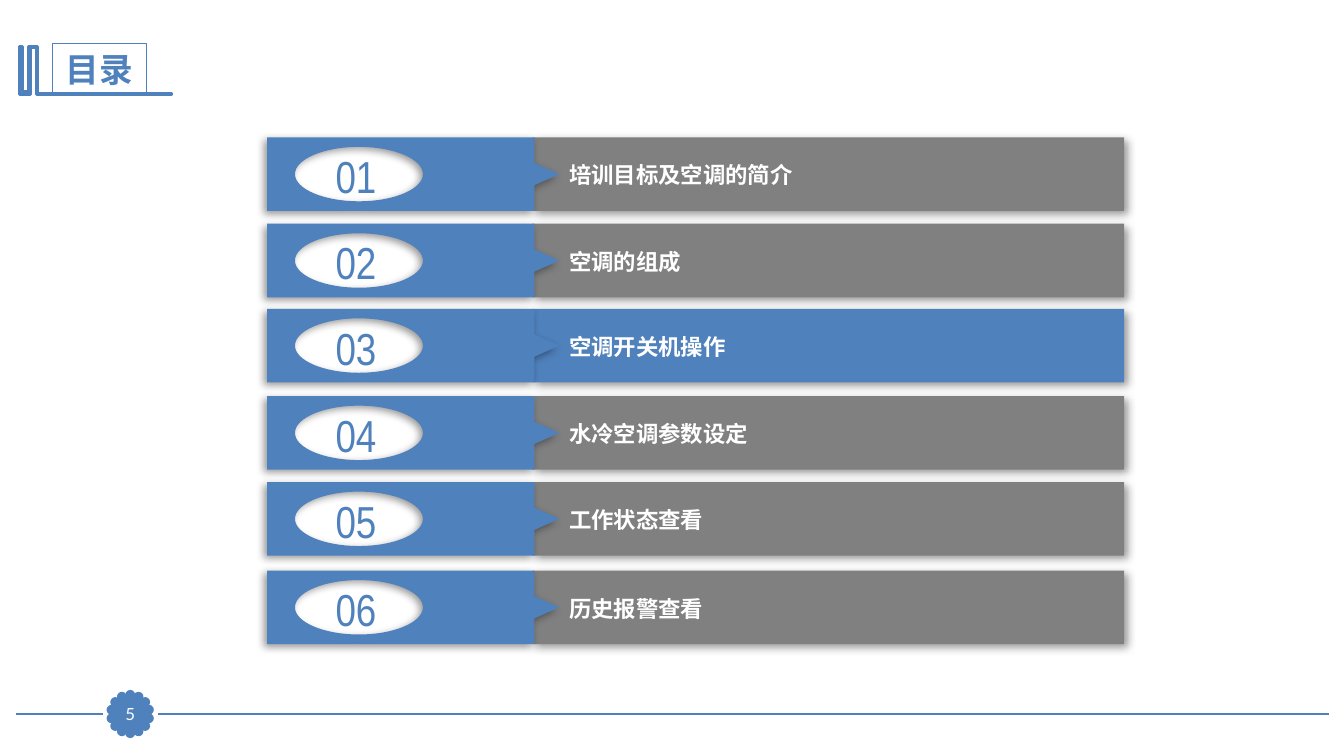
import dataclasses
import math

import lxml.etree
import pptx
import pptx.dml.color
import pptx.enum.shapes
import pptx.enum.text
import pptx.oxml.ns
import pptx.util

SHAPE = pptx.enum.shapes.MSO_SHAPE
ALIGN = pptx.enum.text.PP_ALIGN
MIDDLE = pptx.enum.text.MSO_ANCHOR.MIDDLE
TOP = pptx.enum.text.MSO_ANCHOR.TOP
qn = pptx.oxml.ns.qn

WIDTH = pptx.util.Inches(13.33)
HEIGHT = pptx.util.Inches(7.5)


@dataclasses.dataclass(frozen=True)
class Theme:
    blue: str = "4F81BD"
    gray: str = "808080"
    cyan: str = "28A9D6"
    white: str = "FFFFFF"
    shadow: str = "000000"
    display_font: str = "Arial Narrow"
    text_font: str = "Lato"
    title_size: int = 24
    number_size: int = 32
    label_size: int = 16
    page_size: int = 12


THEME = Theme()

# Top of each row as a percentage of the slide's height, and its label
AGENDA = [
    (18.17, "培训目标及空调的简介"),
    (29.6, "空调的组成"),
    (40.85, "空调开关机操作"),
    (52.4, "水冷空调参数设定"),
    (63.77, "工作状态查看"),
    (75.47, "历史报警查看"),
]
CURRENT = 3

# Percentages of the slide's width and height
ROW_H = 9.73
TAB_LEFT, TAB_RIGHT, TAB_TIP = 19.88, 39.76, 41.61
HOLE_X, HOLE_RX, HOLE_RY = 26.71, 4.76, 3.6
BADGE_X, BADGE_Y, BADGE_RADIUS, BADGE_DOTS = 9.69, 94.45, 2.53, 14
BEZIER_ARC = 0.55  # handle length of a quarter circle of radius 1


def x(percent):
    return round(WIDTH * percent / 100)


def y(percent):
    return round(HEIGHT * percent / 100)


def box(left, top, width, height):
    return x(left), y(top), x(width), y(height)


def color(hex_code):
    return pptx.dml.color.RGBColor.from_string(hex_code)


def style(shape, fill, line=None, weight=0.75):
    shape.shadow.inherit = False
    shape.fill.solid()
    shape.fill.fore_color.rgb = color(fill)
    if line:
        shape.line.color.rgb = color(line)
        shape.line.width = pptx.util.Pt(weight)
    else:
        shape.line.fill.background()


def cast_shadow(shape, degrees):
    effects = shape.element.spPr.find(qn("a:effectLst"))
    outer = lxml.etree.SubElement(
        effects, qn("a:outerShdw"), blurRad="76200", dist="38100",
        dir=str(degrees * 60000), algn="ctr", rotWithShape="0")
    rgb = lxml.etree.SubElement(outer, qn("a:srgbClr"), val=THEME.shadow)
    lxml.etree.SubElement(rgb, qn("a:alpha"), val="40000")


def write(shape, text, font, size, hex_code, align=ALIGN.CENTER, bold=False,
          anchor=MIDDLE):
    tf = shape.text_frame
    tf.word_wrap = True
    tf.auto_size = pptx.enum.text.MSO_AUTO_SIZE.NONE
    tf.vertical_anchor = anchor
    p = tf.paragraphs[0]
    p.text = text
    p.alignment = align
    p.font.name = font
    p.font.size = pptx.util.Pt(size)
    p.font.bold = bold
    p.font.color.rgb = color(hex_code)


def add_outline(s, points):
    points = [(x(px), y(py)) for px, py in points]
    builder = s.shapes.build_freeform(*points[0], scale=1.0)
    builder.add_line_segments(points[1:], close=True)
    return builder.convert_to_shape()


def cut_ellipse(shape, cx, cy, rx, ry):
    """Add an elliptical hole of four curves to a freeform's outline."""
    outline = next(shape.element.iter(qn("a:path")))

    def draw(command, points):
        step = lxml.etree.SubElement(outline, qn(f"a:{command}"))
        for px, py in points:
            lxml.etree.SubElement(
                step, qn("a:pt"), x=str(x(cx + px * rx) - shape.left),
                y=str(y(cy + py * ry) - shape.top))

    draw("moveTo", [(0, -1)])
    px, py = 0, -1
    for _ in range(4):
        nx, ny = py, -px
        draw("cubicBezTo", [(px + BEZIER_ARC * nx, py + BEZIER_ARC * ny),
                            (nx + BEZIER_ARC * px, ny + BEZIER_ARC * py),
                            (nx, ny)])
        px, py = nx, ny
    draw("close", [])


def add_rule(s, start, end, height):
    rule = s.shapes.add_connector(
        pptx.enum.shapes.MSO_CONNECTOR.STRAIGHT,
        x(start), y(height), x(end), y(height))
    rule.line.color.rgb = color(THEME.blue)
    rule.line.width = pptx.util.Pt(1.25)
    lxml.etree.SubElement(rule.element.spPr, qn("a:effectLst"))


def add_heading(s, text):
    bookmark = add_outline(s, [
        (2.76, 6.13), (2.82, 6.13), (2.82, 12.32), (12.8, 12.32),
        (12.8, 12.53), (2.7, 12.53), (2.7, 6.35), (2.3, 6.35),
        (2.3, 12.53), (1.43, 12.53), (1.43, 6.13), (1.7, 6.13),
        (1.7, 12.13), (2.1, 12.13), (2.1, 6.13)])
    style(bookmark, THEME.cyan, THEME.blue, 2)
    title = s.shapes.title
    title.left, title.top, title.width, title.height = box(3.9, 5.73, 6.98, 6.8)
    title.line.color.rgb = color(THEME.blue)
    title.line.width = pptx.util.Pt(0.75)
    write(title, text, THEME.display_font, THEME.title_size, THEME.blue,
          bold=True)


def add_page_badge(s, number):
    dot = pptx.util.Inches(0.07)
    radius = y(BADGE_RADIUS)
    for i in range(BADGE_DOTS):
        angle = 2 * math.pi * i / BADGE_DOTS
        left = x(BADGE_X) + round(radius * math.sin(angle)) - dot // 2
        top = y(BADGE_Y) - round(radius * math.cos(angle)) - dot // 2
        petal = s.shapes.add_shape(SHAPE.OVAL, left, top, dot, dot)
        style(petal, THEME.blue, THEME.blue, 2)
    w, h = 2.4, 4.13
    core = s.shapes.add_shape(
        SHAPE.RECTANGLE, *box(BADGE_X - w / 2, BADGE_Y - h / 2, w, h))
    style(core, THEME.blue, THEME.blue)
    tf = core.text_frame
    tf.margin_left = tf.margin_right = tf.margin_top = tf.margin_bottom = 0
    write(core, str(number), THEME.text_font, THEME.page_size, THEME.white)


def add_agenda_row(s, number, top, label):
    middle, bottom = top + ROW_H / 2, top + ROW_H
    bar = s.shapes.add_shape(SHAPE.RECTANGLE, *box(39.61, top, 44.04, ROW_H))
    style(bar, THEME.blue if number == CURRENT else THEME.gray)
    cast_shadow(bar, 45)

    tab = add_outline(s, [
        (TAB_LEFT, top), (TAB_RIGHT, top), (TAB_RIGHT, middle - 1.47),
        (TAB_TIP, middle), (TAB_RIGHT, middle + 1.47), (TAB_RIGHT, bottom),
        (TAB_LEFT, bottom)])
    cut_ellipse(tab, HOLE_X, middle, HOLE_RX, HOLE_RY)
    style(tab, THEME.blue)
    cast_shadow(tab, 135)

    digits = s.shapes.add_textbox(*box(23, top + 0.8, 6.98, 8.53))
    write(digits, f"{number:02d}", THEME.display_font, THEME.number_size,
          THEME.blue)
    caption = s.shapes.add_textbox(*box(TAB_TIP, top + 2.53, 42.09, 4.93))
    write(caption, label, THEME.text_font, THEME.label_size, THEME.white,
          ALIGN.LEFT, bold=True, anchor=TOP)


def main():
    prs = pptx.Presentation()
    prs.slide_width, prs.slide_height = WIDTH, HEIGHT
    s = prs.slides.add_slide(prs.slide_layouts.get_by_name("Title Only"))
    add_rule(s, 98.85, 11.73, 94.48)
    add_rule(s, 7.65, 1.16, 94.48)
    add_heading(s, "目录")
    add_page_badge(s, 5)
    for number, (top, label) in enumerate(AGENDA, 1):
        add_agenda_row(s, number, top, label)
    prs.save("out.pptx")


if __name__ == "__main__":
    main()
